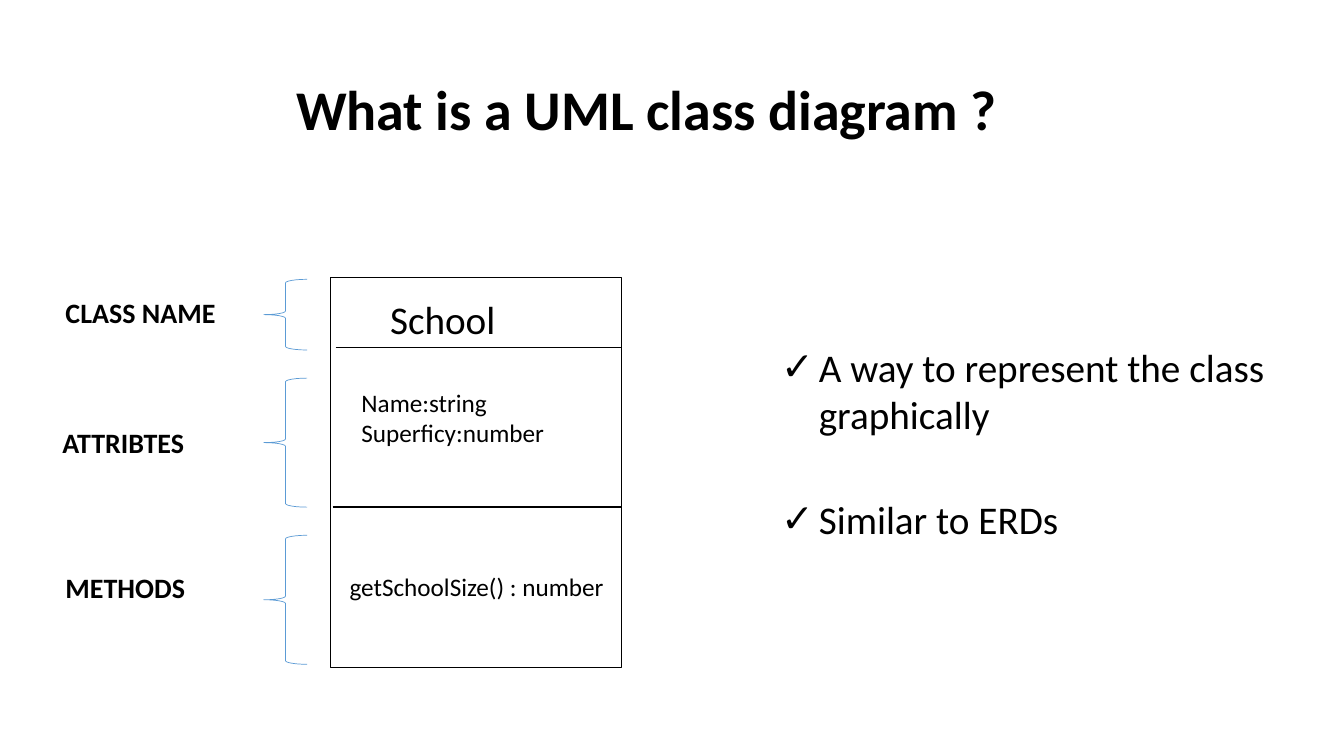
import pptx
import pptx.util
import pptx.dml.color
import pptx.enum.shapes
import pptx.enum.text
import pptx.oxml.ns
import lxml.etree

Cm = pptx.util.Cm
Pt = pptx.util.Pt
BLACK = pptx.dml.color.RGBColor(0x00, 0x00, 0x00)
WHITE = pptx.dml.color.RGBColor(0xFF, 0xFF, 0xFF)
BLUE = pptx.dml.color.RGBColor(0x5B, 0x9B, 0xD5)
SHAPES = pptx.enum.shapes.MSO_SHAPE


def add_span(para, text, size, bold=False):
    span = para.add_run()
    span.text = text
    span.font.name = "Calibri"
    span.font.size = Pt(size)
    span.font.bold = bold
    span.font.color.rgb = BLACK


def place(shape, left, top, width, height):
    shape.left, shape.top = Cm(left), Cm(top)
    shape.width, shape.height = Cm(width), Cm(height)


deck = pptx.Presentation()
deck.slide_width = Cm(33.87)
deck.slide_height = Cm(19.05)
page = deck.slides.add_slide(deck.slide_layouts[1])

title = page.shapes.title
place(title, 7.21, 1.75, 21.34, 1.96)
title.text_frame.auto_size = pptx.enum.text.MSO_AUTO_SIZE.NONE
para = title.text_frame.paragraphs[0]
para.alignment = pptx.enum.text.PP_ALIGN.LEFT
add_span(para, "What is a UML class diagram ?", 40, True)

class_box = page.shapes.add_shape(SHAPES.RECTANGLE, Cm(8.33), Cm(6.99), Cm(7.34), Cm(9.83))
class_box.shadow.inherit = False
class_box.fill.solid()
class_box.fill.fore_color.rgb = WHITE
class_box.line.color.rgb = BLACK
class_box.line.width = Pt(1)

for left, top in [(8.46, 8.76), (8.38, 12.78)]:
    divider = page.shapes.add_connector(
        pptx.enum.shapes.MSO_CONNECTOR.STRAIGHT, Cm(left), Cm(top), Cm(15.67), Cm(top))
    divider.line.color.rgb = BLACK
    divider.line.width = Pt(1)
    lxml.etree.SubElement(divider._element.spPr, pptx.oxml.ns.qn("a:effectLst"))

for top, height in [(7.04, 1.78), (9.53, 3.25), (13.49, 3.25)]:
    brace = page.shapes.add_shape(SHAPES.LEFT_BRACE, Cm(6.65), Cm(top), Cm(1.09), Cm(height))
    brace.shadow.inherit = False
    brace.fill.background()
    brace.line.color.rgb = BLUE
    brace.line.width = Pt(0.5)

labels = [
    (["School"], 9.58, 7.32, 3.2, 1.45, 28, False, False),
    (["Name:string", "Superficy:number"], 8.86, 9.63, 5.26, 1.8, 18, False, True),
    (["getSchoolSize() : number"], 8.56, 14.27, 8.46, 1.02, 18, False, True),
    (["CLASS NAME"], 1.4, 7.32, 4.34, 1.12, 20, True, False),
    (["ATTRIBTES"], 1.32, 10.59, 3.61, 1.12, 20, True, False),
    (["METHODS"], 1.4, 14.25, 3.56, 1.12, 20, True, False),
]
for lines, left, top, width, height, size, bold, wrap in labels:
    box = page.shapes.add_textbox(Cm(left), Cm(top), Cm(width), Cm(height))
    frame = box.text_frame
    frame.word_wrap = wrap
    for index, line in enumerate(lines):
        para = frame.add_paragraph() if index else frame.paragraphs[0]
        add_span(para, line, size, bold)

body = page.placeholders[1]
place(body, 19.43, 8.53, 13.94, 5.31)
frame = body.text_frame
frame.auto_size = pptx.enum.text.MSO_AUTO_SIZE.NONE
points = ["A way to represent the class graphically", "Similar to ERDs"]
for index, point in enumerate(points):
    para = frame.add_paragraph() if index else frame.paragraphs[0]
    properties = para._p.get_or_add_pPr()
    properties.set("marL", str(Cm(0.95)))
    properties.set("indent", str(Cm(-0.95)))
    bullet = lxml.etree.SubElement(properties, pptx.oxml.ns.qn("a:buChar"))
    bullet.set("char", "✓")
    para.space_before = Pt(41 if index else 0)
    add_span(para, point, 28)

deck.save("out.pptx")
